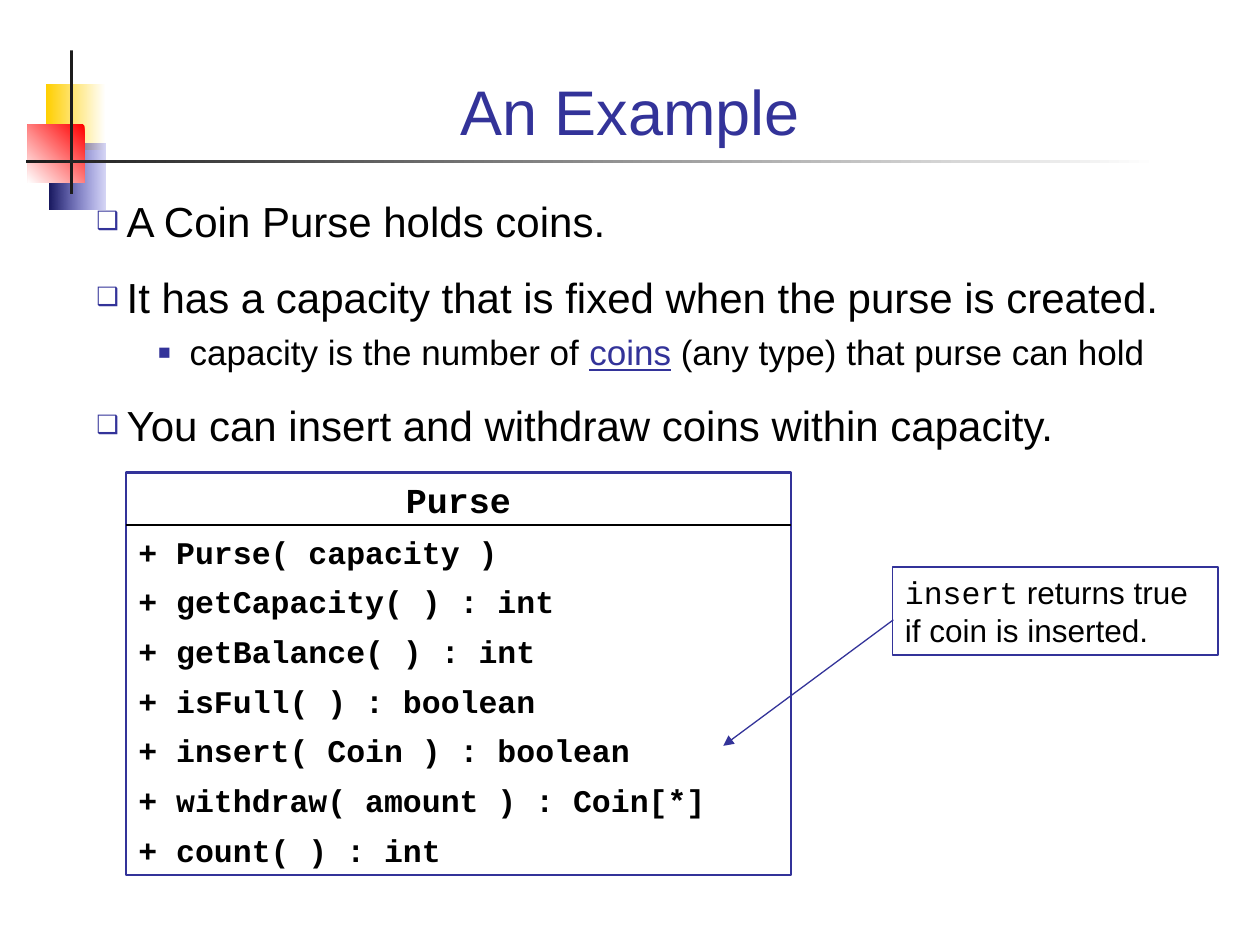
import pptx
import pptx.dml.color
import pptx.enum.shapes
import pptx.enum.text
import pptx.oxml
import pptx.oxml.ns
import pptx.util
from lxml import etree

Pt = pptx.util.Pt
ALIGN = pptx.enum.text.PP_ALIGN
ANCHOR = pptx.enum.text.MSO_ANCHOR
RECTANGLE = pptx.enum.shapes.MSO_SHAPE.RECTANGLE
INDIGO = "333399"
BLACK = "000000"
CHARCOAL = "1C1C1C"
WHITE = "FFFFFF"

METHODS = [
    "+ Purse( capacity )",
    "+ getCapacity( ) : int",
    "+ getBalance( ) : int",
    "+ isFull( ) : boolean",
    "+ insert( Coin ) : boolean",
    "+ withdraw( amount ) : Coin[*]",
    "+ count( ) : int",
]


def color(value):
    return pptx.dml.color.RGBColor.from_string(value)


def add_child(parent, tag, **attributes):
    return etree.SubElement(parent, pptx.oxml.ns.qn(tag), **attributes)


def add_rectangle(slide, left, top, width, height):
    shape = slide.shapes.add_shape(RECTANGLE, Pt(left), Pt(top), Pt(width), Pt(height))
    shape.shadow.inherit = False
    return shape


def add_bar(slide, bounds, fill):
    shape = add_rectangle(slide, *bounds)
    shape.line.fill.background()
    shape.fill.solid()
    shape.fill.fore_color.rgb = color(fill)


def add_gradient(slide, bounds, start, end, angle=180, start_opacity=100):
    shape = add_rectangle(slide, *bounds)
    shape.line.fill.background()
    shape.fill.gradient()
    shape.fill.gradient_angle = angle
    for stop, value, position in zip(shape.fill.gradient_stops, (start, end), (0, 1)):
        stop.color.rgb = color(value)
        stop.position = position
    if start_opacity < 100:
        first = next(shape.fill._fill._gradFill.iter(pptx.oxml.ns.qn("a:srgbClr")))
        add_child(first, "a:alpha", val=str(start_opacity * 1000))


def add_text_box(slide, left, top, width, height, anchor=ANCHOR.TOP):
    shape = slide.shapes.add_textbox(Pt(left), Pt(top), Pt(width), Pt(height))
    shape.text_frame.word_wrap = True
    shape.text_frame.vertical_anchor = anchor
    return shape.text_frame


def add_outlined_box(slide, bounds, line_width):
    shape = add_rectangle(slide, *bounds)
    shape.fill.background()
    shape.line.color.rgb = color(INDIGO)
    shape.line.width = Pt(line_width)
    shape.text_frame.word_wrap = True
    shape.text_frame.vertical_anchor = ANCHOR.TOP
    return shape.text_frame


def set_bullet(paragraph, character, margin, indent):
    properties = paragraph._p.get_or_add_pPr()
    properties.set("marL", str(Pt(margin)))
    properties.set("indent", str(Pt(-indent)))
    add_child(add_child(properties, "a:buClr"), "a:srgbClr", val=INDIGO)
    add_child(properties, "a:buSzPct", val="60000")
    add_child(properties, "a:buFont", typeface="Arial")
    add_child(properties, "a:buChar", char=character)


def add_paragraph(frame, texts, size, name="Arial", fill=BLACK, align=ALIGN.LEFT,
                  space=0, bold=False, bullet=None):
    paragraph = frame.paragraphs[0]
    if paragraph.runs:
        paragraph = frame.add_paragraph()
        paragraph.space_before = Pt(space)
    if bullet:
        set_bullet(paragraph, *bullet)
    paragraph.alignment = align
    font = paragraph.font
    font.size = Pt(size)
    font.bold = bold
    if name:
        font.name = name
    if fill:
        font.color.rgb = color(fill)
    for text in texts:
        paragraph.add_run().text = text
    return paragraph


def add_line(slide, start, end, fill, arrow=False):
    connector = slide.shapes.add_connector(
        pptx.enum.shapes.MSO_CONNECTOR.STRAIGHT, *(Pt(value) for value in start + end))
    connector.line.color.rgb = color(fill)
    connector.line.width = Pt(0.75)
    if arrow:
        add_child(connector.line._get_or_add_ln(), "a:tailEnd", type="triangle")
    add_child(connector._element.spPr, "a:effectLst")


def add_decoration(slide):
    add_gradient(slide, (26.6, 48.2, 33.8, 37.4), WHITE, "FFCF01")
    add_gradient(slide, (28.1, 82.1, 32.4, 37.4), "3333CC", "17175E", start_opacity=20)
    add_gradient(slide, (15.8, 71.3, 32.4, 33.1), "FF0000", WHITE, angle=225)
    add_bar(slide, (40.1, 28.8, 1.6, 82.1), CHARCOAL)
    add_gradient(slide, (15.1, 91.4, 647.3, 1.6), WHITE, CHARCOAL)


def add_points(slide):
    frame = add_text_box(slide, 48, 108, 624, 162)
    point = dict(size=24, space=15, bullet=("❑", 17.3, 17.3))
    add_paragraph(frame, ["A Coin Purse holds coins."], **point)
    add_paragraph(frame, ["It has a capacity that is fixed when the purse is created."], **point)
    detail = add_paragraph(
        frame, ["capacity is the number of ", "coins", " (any type) that purse can hold"],
        20, fill=None, space=5, bullet=("■", 53.3, 18))
    for run, fill in zip(detail.runs, (BLACK, INDIGO, BLACK)):
        run.font.color.rgb = color(fill)
    detail.runs[1].font.underline = True
    add_paragraph(frame, ["You can insert and withdraw coins within capacity."], **point)


def add_class_diagram(slide):
    left, top, width = 72, 270, 380
    frame = add_outlined_box(slide, (left, top, width, 230), 1.5)
    add_paragraph(frame, ["Purse"], 20, "Courier New", align=ALIGN.CENTER, bold=True)
    for method in METHODS:
        add_paragraph(frame, [method], 18, "Courier New", space=6.8, bold=True)
    add_line(slide, (left, top + 30), (left + width, top + 30), BLACK)


def add_note(slide):
    frame = add_outlined_box(slide, (510, 324, 186, 50.4), 0.75)
    note = add_paragraph(frame, ["insert", " returns true if coin is inserted."], 18, name=None)
    for run, name in zip(note.runs, ("Courier New", "Arial")):
        run.font.name = name
    add_line(slide, (510.5, 354.2), (413.3, 426.2), INDIGO, arrow=True)


def main():
    presentation = pptx.Presentation()
    presentation.slide_width = Pt(720)
    presentation.slide_height = Pt(540)
    slide = presentation.slides.add_slide(presentation.slide_layouts[6])
    add_decoration(slide)
    title = add_text_box(slide, 48, 20, 624, 68.4, ANCHOR.BOTTOM)
    add_paragraph(title, ["An Example"], 36, fill=INDIGO, align=ALIGN.CENTER)
    add_points(slide)
    add_class_diagram(slide)
    add_note(slide)
    presentation.save("out.pptx")


if __name__ == "__main__":
    main()
